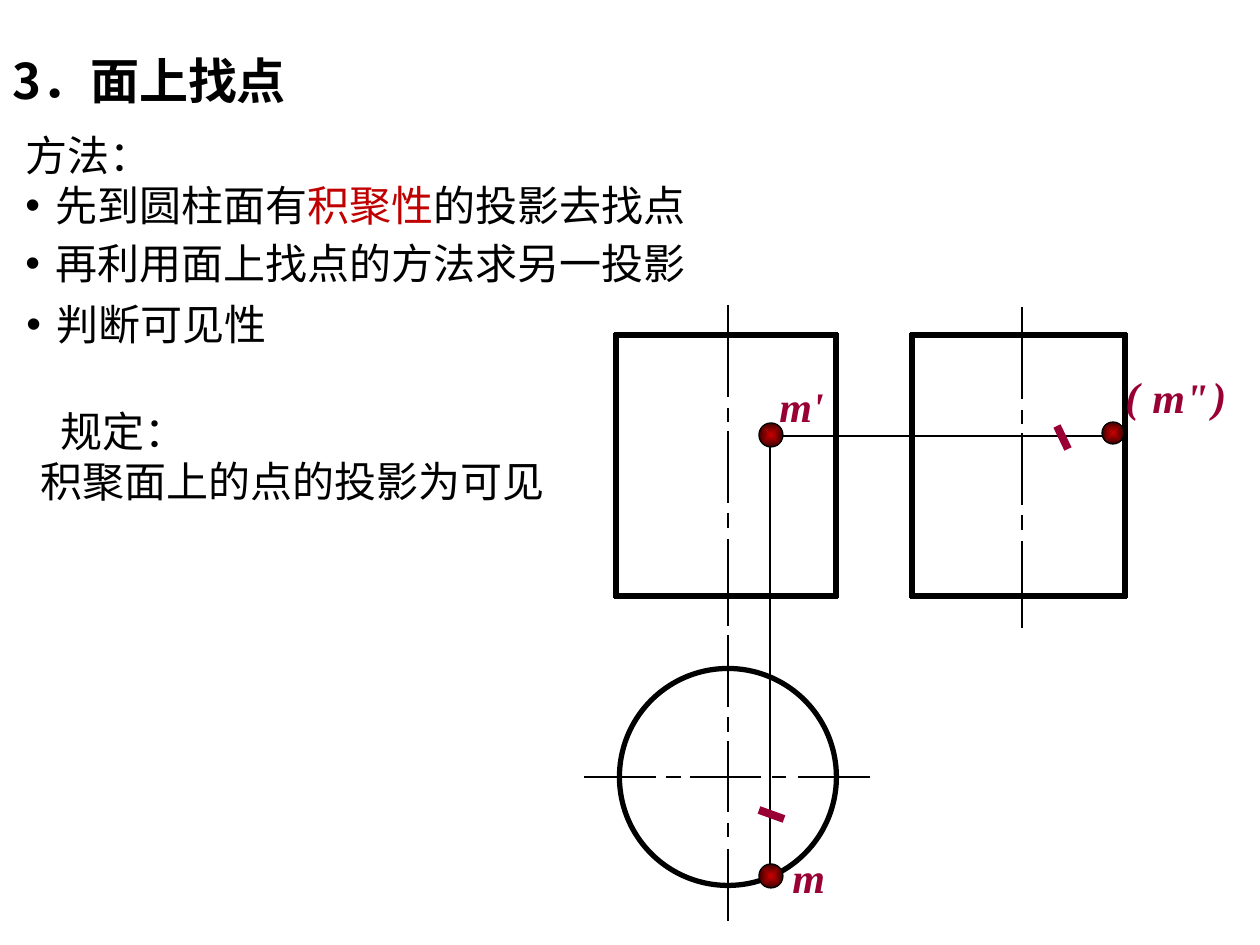
from lxml import etree
from pptx import Presentation
from pptx.dml.color import RGBColor
from pptx.enum.shapes import MSO_CONNECTOR, MSO_SHAPE
from pptx.enum.text import MSO_ANCHOR, MSO_AUTO_SIZE
from pptx.oxml.ns import qn
from pptx.util import Emu, Pt

STRAIGHT = MSO_CONNECTOR.STRAIGHT
OVAL = MSO_SHAPE.OVAL
MIDDLE = MSO_ANCHOR.MIDDLE
TOP = MSO_ANCHOR.TOP
GROW = MSO_AUTO_SIZE.SHAPE_TO_FIT_TEXT

SCALE = 914400 / 126
BLACK = RGBColor(0x00, 0x00, 0x00)
RED = RGBColor(0xC0, 0x00, 0x00)
CRIMSON = RGBColor(0x99, 0x00, 0x33)
DOT_CENTRE = RGBColor(0xCC, 0x00, 0x00)
DOT_EDGE = RGBColor(0x3C, 0x00, 0x00)

CHINESE = "Noto Sans CJK SC"
LATIN = "Times New Roman"
TITLE = {"name": CHINESE, "size": Pt(28), "bold": True}
BODY = {"name": CHINESE, "size": Pt(24)}
LABEL = {"name": LATIN, "size": Pt(24), "bold": True, "italic": True}

BULLET_INDENT = 30
SHORT_AXIS = [(0, 72), (82, 97), (106, 177), (188, 202), (214, 286)]
LONG_AXIS = [(0, 92), (103, 117), (126, 198), (208, 223), (234, 321)]


def px(length):
    return Emu(round(length * SCALE))


def add_span(para, text, style, color):
    span = para.add_run()
    span.text = text
    for name, value in style.items():
        setattr(span.font, name, value)
    span.font.color.rgb = color
    properties = span._r.get_or_add_rPr()
    east_asian = etree.SubElement(properties, qn("a:ea"))
    east_asian.set("typeface", style["name"])


def indent(para, margin, first=0, bullet=None):
    properties = para._p.get_or_add_pPr()
    properties.set("marL", str(px(margin)))
    properties.set("indent", str(px(first)))
    if bullet:
        etree.SubElement(properties, qn("a:buFont")).set("typeface", "Arial")
        etree.SubElement(properties, qn("a:buChar")).set("char", bullet)


def add_text(page, bounds, lines, style, color=BLACK, wrap=True, anchor=MIDDLE):
    box = page.shapes.add_textbox(*map(px, bounds))
    frame = box.text_frame
    settings = {"word_wrap": wrap, "auto_size": GROW, "vertical_anchor": anchor}
    for name, value in settings.items():
        setattr(frame, name, value)
    for number, spans in enumerate(lines):
        para = frame.add_paragraph() if number else frame.paragraphs[0]
        if style["name"] == CHINESE:
            para.line_spacing = Pt(round(style["size"].pt * 1.21))
        for text, span_color in spans:
            add_span(para, text, style, span_color or color)
    return frame.paragraphs


def add_bullet(para):
    indent(para, BULLET_INDENT, -BULLET_INDENT, "•")


def add_label(page, text, left, top, width):
    add_text(page, (left, top, width, 63), [[(text, None)]], LABEL, CRIMSON, False, TOP)


def add_line(owner, start, end, width, color=BLACK):
    line = owner.shapes.add_connector(STRAIGHT, *map(px, start + end))
    line.line.width = Pt(width)
    line.line.color.rgb = color
    etree.SubElement(line._element.spPr, qn("a:effectLst"))


def add_outline(page, left, top, right, bottom):
    for y in (top, bottom):
        add_line(page, (left - 2, y), (right + 2, y), 3)
    for x in (left, right):
        add_line(page, (x, top - 2), (x, bottom + 2), 3)


def add_axis(page, x, y, dashes, vertical=True):
    group = page.shapes.add_group_shape()
    for start, end in dashes:
        if vertical:
            add_line(group, (x, y + start), (x, y + end), 1.2)
        else:
            add_line(group, (x + start, y), (x + end, y), 1.2)


def add_circle(page, centre_x, centre_y, diameter, width):
    left, top = centre_x - diameter / 2, centre_y - diameter / 2
    circle = page.shapes.add_shape(OVAL, *map(px, (left, top, diameter, diameter)))
    circle.shadow.inherit = False
    circle.fill.background()
    circle.line.color.rgb = BLACK
    circle.line.width = Pt(width)
    return circle


def add_dot(page, centre_x, centre_y, diameter):
    dot = add_circle(page, centre_x, centre_y, diameter, 0.75)
    dot.fill.gradient()
    for stop, color in zip(dot.fill.gradient_stops, (DOT_CENTRE, DOT_EDGE)):
        stop.color.rgb = color
    gradient = dot._element.spPr.find(qn("a:gradFill"))
    gradient.remove(gradient.find(qn("a:lin")))
    shade = etree.SubElement(gradient, qn("a:path"))
    shade.set("path", "shape")
    focus = etree.SubElement(shade, qn("a:fillToRect"))
    for side in "ltrb":
        focus.set(side, "50000")


def add_explanation(page):
    add_text(page, (0, 44, 444, 72), [[("3．面上找点", None)]], TITLE)
    for text, left, top, width in (
        ("再利用面上找点的方法求另一投影", 13, 231, 714),
        ("判断可见性", 14, 292, 369),
    ):
        add_bullet(add_text(page, (left, top, width, 63), [[(text, None)]], BODY)[0])
    method = [
        [("方法：", None)],
        [("先到圆柱面有", None), ("积聚性", RED), ("的投影去找点", None)],
    ]
    add_bullet(add_text(page, (13, 122, 707, 115), method, BODY)[1])
    rule = [[("规定：", None)], [("积聚面上的点的投影为可见", None)]]
    indent(add_text(page, (28, 398, 578, 115), rule, BODY)[0], 20)


def add_views(page):
    add_circle(page, 728, 777, 217, 3)
    add_outline(page, 912, 335, 1125, 596)
    add_outline(page, 616, 335, 836, 596)
    add_line(page, (770, 432), (770, 879), 1)
    add_line(page, (767, 436), (1118, 436), 1)
    add_line(page, (759, 810), (784, 819), 4.5, CRIMSON)
    add_line(page, (1057, 426), (1068, 449), 4.5, CRIMSON)
    add_axis(page, 584, 777, SHORT_AXIS, vertical=False)
    add_axis(page, 728, 635, SHORT_AXIS)
    add_axis(page, 728, 305, LONG_AXIS)
    add_axis(page, 1022, 307, LONG_AXIS)


def add_points(page):
    for dot in ((771, 435, 24), (771, 876, 24), (1113, 433, 22)):
        add_dot(page, *dot)
    for label in (
        ("m'", 767, 374, 73),
        ("m", 780, 845, 58),
        ("(", 1113, 364, 39),
        ('m"', 1140, 365, 82),
        (")", 1200, 364, 39),
    ):
        add_label(page, *label)


def main():
    deck = Presentation()
    deck.slide_width, deck.slide_height = px(1260), px(945)
    page = deck.slides.add_slide(deck.slide_layouts[6])
    add_explanation(page)
    add_views(page)
    add_points(page)
    deck.save("out.pptx")


if __name__ == "__main__":
    main()
